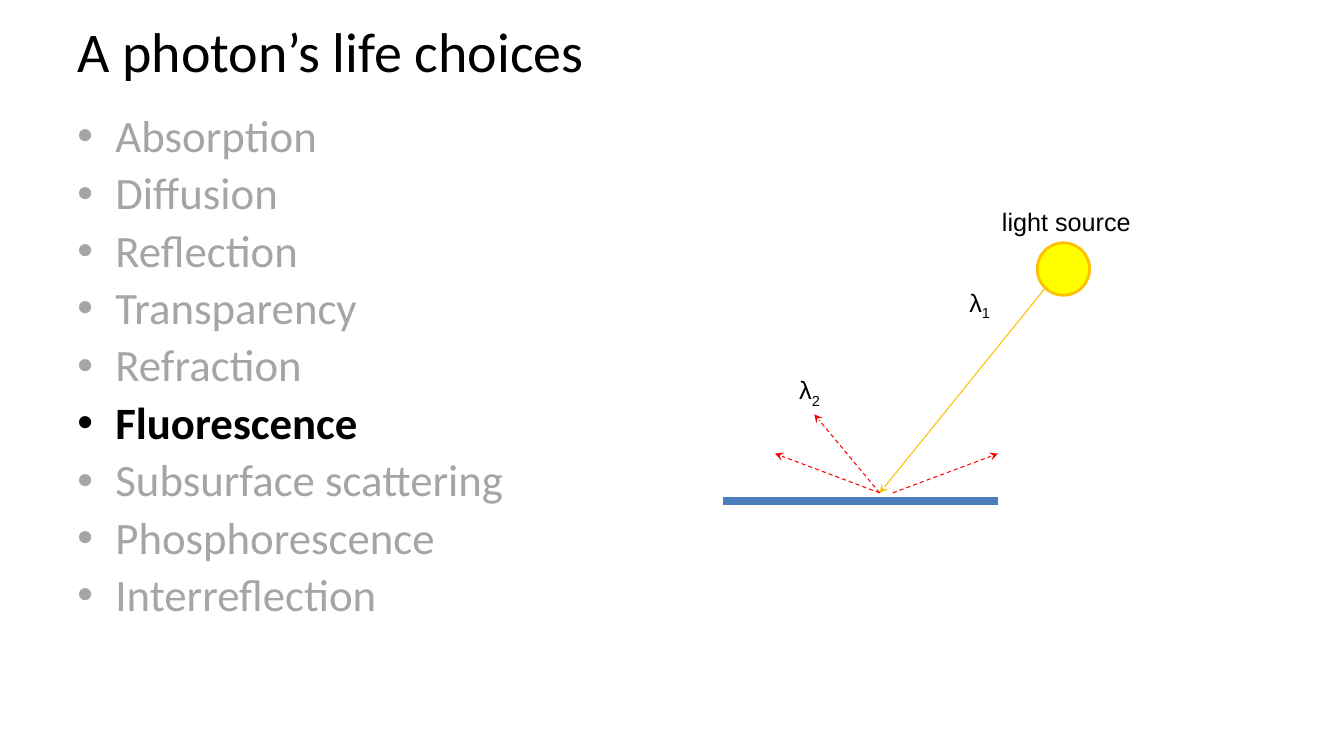
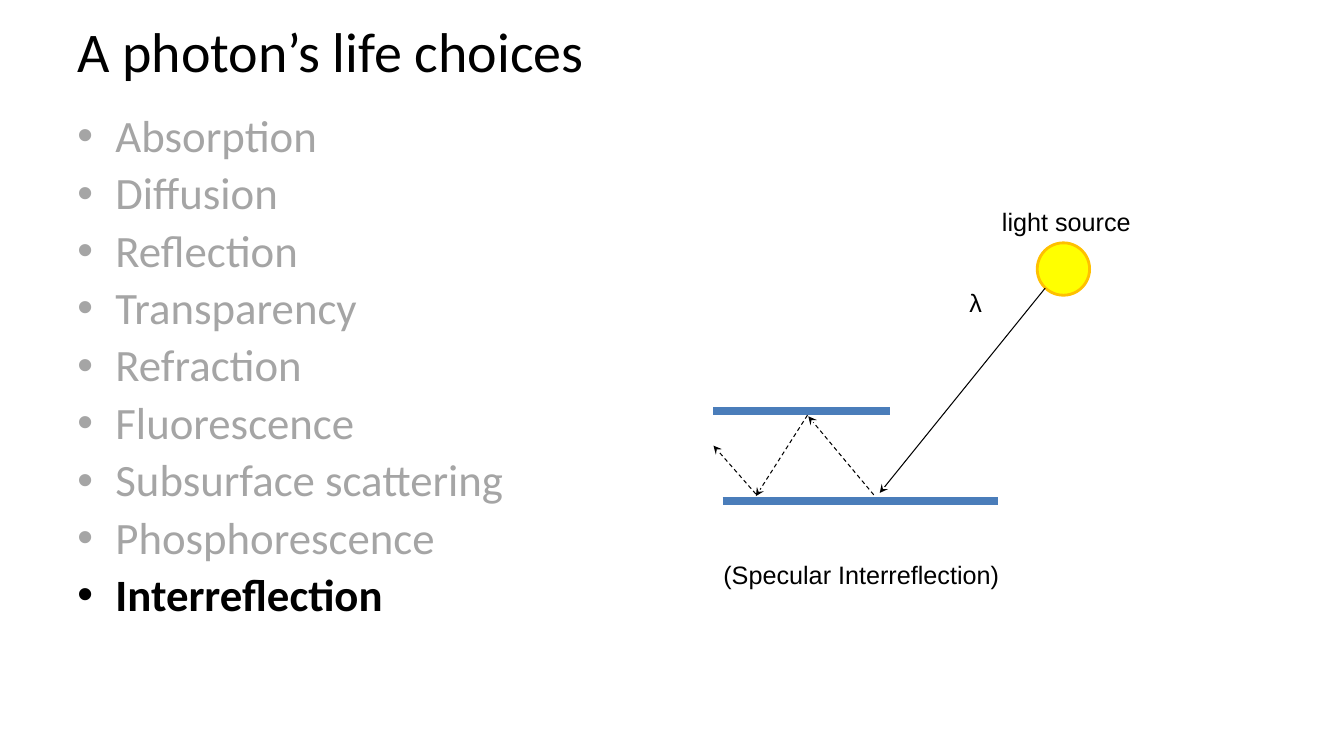
import pptx
import pptx.dml.color
import pptx.enum.dml
import pptx.enum.shapes
import pptx.enum.text
import pptx.oxml.ns
import pptx.util
from lxml import etree
from pptx.util import Cm

# Content; all positions are in centimetres
TITLE = "A photon’s life choices"
CHOICES = [
    "Absorption", "Diffusion", "Reflection", "Transparency", "Refraction",
    "Fluorescence", "Subsurface scattering", "Phosphorescence", "Interreflection",
]
COLORS = {
    "text": "000000", "muted": "A5A5A5", "surface": "4A7DBA", "sun": "FFFF00",
    "amber": "FFC000", "red": "FF0000",
}
FLOOR = ((18.21, 12.62), (25.15, 12.62))
SUN = (26.14, 6.12, 1.32)
SUN_RAY = ((26.34, 7.26), (22.17, 12.42))
SOURCE_LABEL = ("light source", "", 25, 5.08, 4)
SLIDES = [
    {
        "active": "Fluorescence",
        "ray_color": "amber",
        "bounce_color": "red",
        "surfaces": [FLOOR],
        "bounces": [
            ((22.17, 12.42), (20.52, 10.44)),
            ((22.17, 12.42), (19.53, 11.43)),
            ((22.5, 12.42), (25.15, 11.43)),
        ],
        # text, subscript, left, top, width
        "labels": [SOURCE_LABEL, ("λ", "1", 24.18, 7.11, 1.2),
                   ("λ", "2", 19.89, 9.32, 1.2)],
    },
    {
        "active": "Interreflection",
        "ray_color": "text",
        "bounce_color": "text",
        "surfaces": [FLOOR, ((17.98, 10.36), (22.43, 10.36))],
        "bounces": [
            ((22.02, 12.47), (20.37, 10.49)),
            ((20.35, 10.46), (19.05, 12.5)),
            ((19.05, 12.45), (17.98, 11.23)),
        ],
        "labels": [SOURCE_LABEL, ("λ", "", 24.18, 7.11, 1.2),
                   ("(Specular Interreflection)", "", 17.98, 13.97, 8)],
    },
]


def rgb(name):
    return pptx.dml.color.RGBColor.from_string(COLORS[name])


def add_element(parent, tag, **attributes):
    return etree.SubElement(parent, pptx.oxml.ns.qn(tag), attributes)


def style_font(para, name, size, color="text", bold=False):
    para.font.name = name
    para.font.size = pptx.util.Pt(size)
    para.font.bold = bold
    para.font.color.rgb = rgb(color)


def add_box(page, left, top, width, height):
    box = page.shapes.add_textbox(Cm(left), Cm(top), Cm(width), Cm(height))
    box.text_frame.word_wrap = True
    return box.text_frame


def add_title(page):
    title = page.shapes.title
    title.left, title.top, title.width, title.height = Cm(1.7), Cm(0), Cm(30.48), Cm(2.54)
    title.text_frame.text = TITLE
    title.text_frame.vertical_anchor = pptx.enum.text.MSO_ANCHOR.MIDDLE
    para = title.text_frame.paragraphs[0]
    para.alignment = pptx.enum.text.PP_ALIGN.LEFT
    style_font(para, "Calibri", 40)


def add_choices(page, active):
    frame = add_box(page, 1.7, 2.74, 30.48, 14.27)
    for index, choice in enumerate(CHOICES):
        para = frame.add_paragraph() if index else frame.paragraphs[0]
        para.text = choice
        para.line_spacing = 0.9
        if index:
            para.space_before = pptx.util.Pt(6.4)
        color = "text" if choice == active else "muted"
        properties = para._p.get_or_add_pPr()
        properties.set("marL", str(Cm(0.96)))
        properties.set("indent", str(-Cm(0.96)))
        bullet_color = add_element(properties, "a:buClr")
        add_element(bullet_color, "a:srgbClr", val=COLORS[color])
        add_element(properties, "a:buFont", typeface="Arial")
        add_element(properties, "a:buChar", char="•")
        style_font(para, "Calibri", 32, color, choice == active)


def add_line(page, ends, color, width=0.75, dashed=False, arrow=True):
    start, end = ends
    connector = page.shapes.add_connector(
        pptx.enum.shapes.MSO_CONNECTOR.STRAIGHT,
        Cm(start[0]), Cm(start[1]), Cm(end[0]), Cm(end[1]))
    connector.line.color.rgb = rgb(color)
    connector.line.width = pptx.util.Pt(width)
    if dashed:
        connector.line.dash_style = pptx.enum.dml.MSO_LINE.DASH
    if arrow:
        add_element(connector.line._get_or_add_ln(), "a:tailEnd", type="stealth")
    add_element(connector._element.spPr, "a:effectLst")


def add_sun(page):
    left, top, size = SUN
    sun = page.shapes.add_shape(
        pptx.enum.shapes.MSO_SHAPE.OVAL, Cm(left), Cm(top), Cm(size), Cm(size))
    sun.shadow.inherit = False
    sun.fill.solid()
    sun.fill.fore_color.rgb = rgb("sun")
    sun.line.color.rgb = rgb("amber")
    sun.line.width = pptx.util.Pt(2)


def add_label(page, text, subscript, left, top, width):
    para = add_box(page, left, top, width, 1.03).paragraphs[0]
    para.text = text
    style_font(para, "Arial", 18)
    if subscript:
        span = para.add_run()
        span.text = subscript
        span._r.get_or_add_rPr().set("baseline", "-25000")


def main():
    deck = pptx.Presentation()
    deck.slide_width, deck.slide_height = Cm(33.87), Cm(19.05)
    title_only = deck.slide_layouts[5]
    for content in SLIDES:
        page = deck.slides.add_slide(title_only)
        add_title(page)
        add_choices(page, content["active"])
        # Light diagram
        for surface in content["surfaces"]:
            add_line(page, surface, "surface", width=6, arrow=False)
        add_sun(page)
        add_line(page, SUN_RAY, content["ray_color"])
        for bounce in content["bounces"]:
            add_line(page, bounce, content["bounce_color"], dashed=True)
        for label in content["labels"]:
            add_label(page, *label)
    deck.save("out.pptx")


if __name__ == "__main__":
    main()
